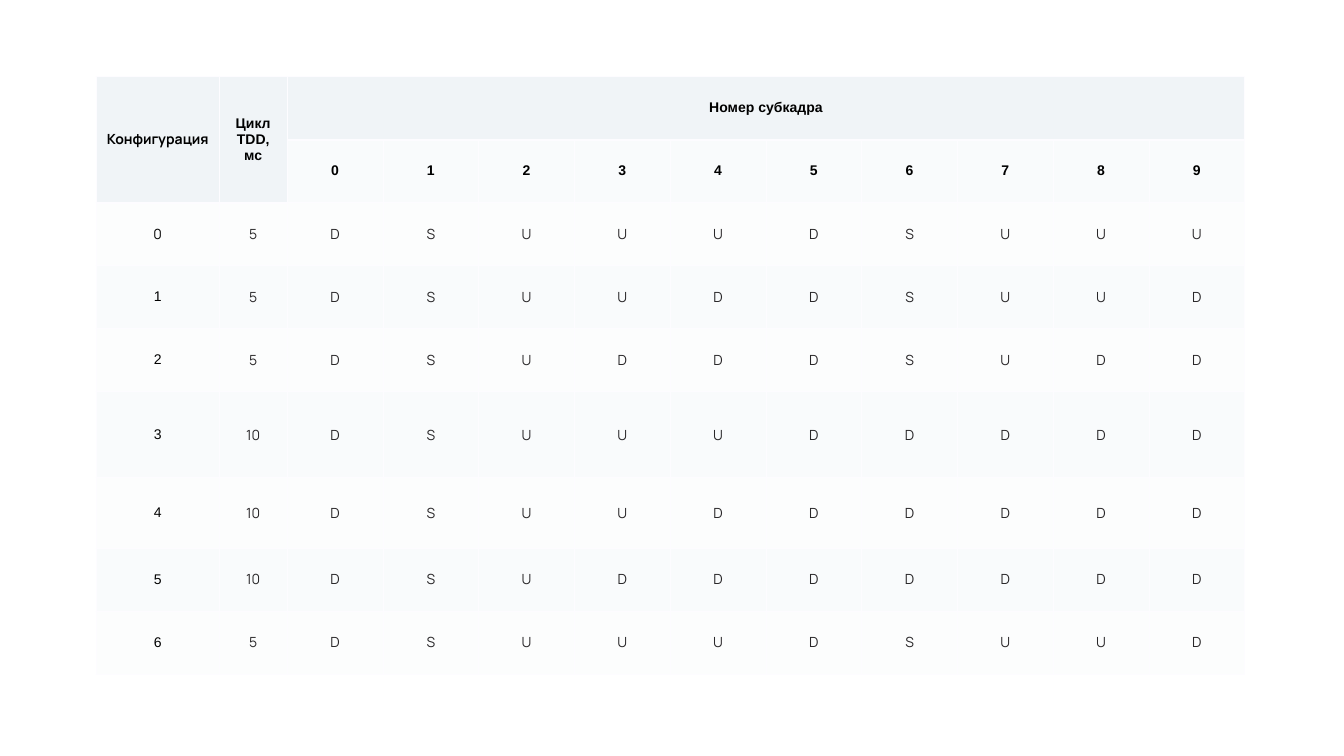
from lxml import etree
from pptx import Presentation
from pptx import util as u
from pptx.dml.color import RGBColor
from pptx.enum import text
from pptx.oxml.ns import qn

BLACK = RGBColor(0x00, 0x00, 0x00)
INK = RGBColor(0x29, 0x27, 0x29)
HEADER = RGBColor(0xF0, 0xF4, 0xF7)
BAND = RGBColor(0xF9, 0xFB, 0xFC)
PLAIN = RGBColor(0xFC, 0xFD, 0xFD)
BORDER = RGBColor(0xFD, 0xFC, 0xFF)

# Cycle length in ms and the types of the ten subframes, by configuration
CONFIGURATIONS = [
    ("5", "DSUUUDSUUU"),
    ("5", "DSUUDDSUUD"),
    ("5", "DSUDDDSUDD"),
    ("10", "DSUUUDDDDD"),
    ("10", "DSUUDDDDDD"),
    ("10", "DSUDDDDDDD"),
    ("5", "DSUUUDSUUD"),
]
SUBFRAMES = 10
COLUMN_WIDTHS = [2.44, 1.35] + [1.9] * SUBFRAMES
ROW_HEIGHTS = [1.25] * 5 + [1.71, 1.39, 1.25, 1.25]


class SlideBuilder:
    heading_font = "Arial"
    body_font = "Manrope"
    size = u.Pt(20)

    def __init__(self, slide):
        self.slide = slide

    def table(self, left, top, widths, heights):
        frame = self.slide.shapes.add_table(
            len(heights), len(widths), u.Inches(left), u.Inches(top),
            u.Inches(sum(widths)), u.Inches(sum(heights)))
        grid = frame.table
        grid.first_row = grid.horz_banding = False
        for column, width in zip(grid.columns, widths):
            column.width = u.Inches(width)
        for row, height in zip(grid.rows, heights):
            row.height = u.Inches(height)
        return grid

    def cell(self, cell, words, fill, font=heading_font, color=BLACK,
             bold=False, bottom=1):
        cell.text = words
        cell.vertical_anchor = text.MSO_ANCHOR.MIDDLE
        cell.fill.solid()
        cell.fill.fore_color.rgb = fill
        for paragraph in cell.text_frame.paragraphs:
            paragraph.alignment = text.PP_ALIGN.CENTER
            paragraph.font.name = font
            paragraph.font.size = self.size
            paragraph.font.bold = bold
            paragraph.font.color.rgb = color
        self.borders(cell, bottom)

    def borders(self, cell, bottom):
        properties = cell._tc.get_or_add_tcPr()
        # Border lines must come before the fill
        for place, side in enumerate(("lnL", "lnR", "lnT", "lnB")):
            width = u.Pt(bottom if side == "lnB" else 1)
            line = etree.Element(qn(f"a:{side}"), w=str(int(width)))
            solid = etree.SubElement(line, qn("a:solidFill"))
            etree.SubElement(solid, qn("a:srgbClr"), val=str(BORDER))
            properties.insert(place, line)


def main():
    deck = Presentation()
    deck.slide_width = u.Inches(26.67)
    deck.slide_height = u.Inches(15)
    builder = SlideBuilder(deck.slides.add_slide(deck.slide_layouts[6]))
    grid = builder.table(1.91, 1.52, COLUMN_WIDTHS, ROW_HEIGHTS)

    # Merged headings
    grid.cell(0, 0).merge(grid.cell(1, 0))
    grid.cell(0, 1).merge(grid.cell(1, 1))
    grid.cell(0, 2).merge(grid.cell(0, SUBFRAMES + 1))
    headings = [("Конфигурация", builder.body_font),
                ("Цикл\nTDD,\nмс", builder.heading_font),
                ("Номер субкадра", builder.heading_font)]
    for column, (words, font) in enumerate(headings):
        builder.cell(grid.cell(0, column), words, HEADER, font,
                     bold=True, bottom=3)

    # Subframe numbers
    for number in range(SUBFRAMES):
        builder.cell(grid.cell(1, number + 2), str(number), BAND, bold=True)

    # Configurations
    for number, (cycle, subframes) in enumerate(CONFIGURATIONS):
        row = number + 2
        fill = BAND if number % 2 else PLAIN
        label_font = builder.heading_font if number else builder.body_font
        builder.cell(grid.cell(row, 0), str(number), fill, label_font)
        for column, words in enumerate([cycle, *subframes], start=1):
            builder.cell(grid.cell(row, column), words, fill,
                         builder.body_font, INK)

    deck.save("out.pptx")


if __name__ == "__main__":
    main()
